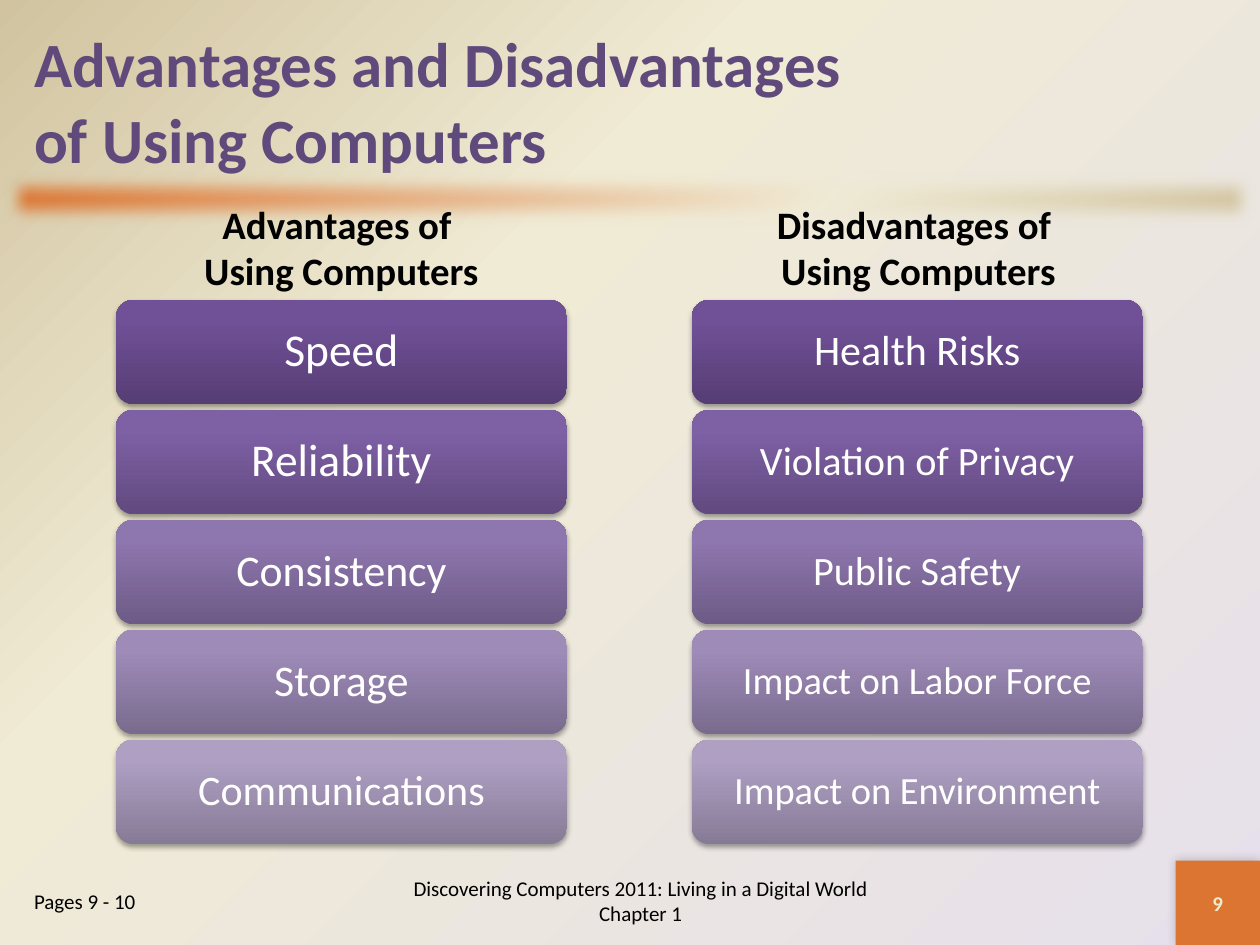
from lxml import etree
from pptx import Presentation
from pptx import util as u
from pptx.dml.color import RGBColor
from pptx.enum import shapes, text
from pptx.oxml import parse_xml
from pptx.oxml.ns import nsdecls, qn

FONT = "Calibri"
BLACK, WHITE, PURPLE, ORANGE, CREAM = "000000", "FFFFFF", "604A7B", "DB7531", "EEEBCA"
LEFT, CENTER = text.PP_ALIGN.LEFT, text.PP_ALIGN.CENTER
MIDDLE = text.MSO_ANCHOR.MIDDLE

# Gradient stops of the five rows, bottom to top of each box
ROW_COLORS = [
    ("563D74", "705097", "704F99"),
    ("614A7F", "7E60A5", "7F60A7"),
    ("6D5B86", "8E76AE", "8E75B0"),
    ("796B8E", "9E8BB8", "9E8BBA"),
    ("867B96", "AE9FC3", "AE9FC4"),
]
# Left, heading, and the label and text size of each row
COLUMNS = [
    (0.92, 0.5, "Advantages of \vUsing Computers",
     [("Speed", 26), ("Reliability", 26), ("Consistency", 25),
      ("Storage", 25), ("Communications", 24)]),
    (5.49, 5.08, "Disadvantages of \vUsing Computers",
     [("Health Risks", 24), ("Violation of Privacy", 23), ("Public Safety", 23),
      ("Impact on Labor Force", 22), ("Impact on Environment", 22)]),
]
FIRST_TOP, LAST_TOP = 2.38, 5.87


def color(value):
    return RGBColor.from_string(value)


def inches(*lengths):
    return [u.Inches(length) for length in lengths]


def gradient(stops, direction):
    """Return a gradient fill; direction is its a:lin or a:path element."""
    marks = "".join(
        f'<a:gs pos="{place * 1000}"><a:srgbClr val="{value}"/></a:gs>'
        for place, value in stops)
    return parse_xml(f'<a:gradFill {nsdecls("a")} rotWithShape="1">'
                     f"<a:gsLst>{marks}</a:gsLst>{direction}</a:gradFill>")


def linear(angle):
    return f'<a:lin ang="{angle * 60000}" scaled="0"/>'


def add_effect(shape, name, **values):
    effects = shape._element.spPr.find(qn("a:effectLst"))
    return etree.SubElement(effects, qn(f"a:{name}"),
                            {key: str(value) for key, value in values.items()})


def add_shadow(shape, opacity, blur, distance, angle):
    shadow = add_effect(shape, "outerShdw", blurRad=u.Pt(blur), dist=u.Pt(distance),
                        dir=angle * 60000, rotWithShape=0)
    tint = etree.SubElement(shadow, qn("a:srgbClr"), val=BLACK)
    etree.SubElement(tint, qn("a:alpha"), val=str(opacity * 1000))


def add_block(page, preset, place):
    shape = page.shapes.add_shape(preset, *inches(*place))
    shape.shadow.inherit = False
    shape.line.fill.background()
    return shape


def fill_gradient(shape, stops, angle):
    line = shape._element.spPr.find(qn("a:ln"))
    line.addprevious(gradient(stops, linear(angle)))


def write(shape, words, size, tone, bold=False, align=CENTER, anchor=MIDDLE):
    frame = shape.text_frame
    frame.word_wrap = True
    frame.auto_size = text.MSO_AUTO_SIZE.NONE
    frame.vertical_anchor = anchor
    frame.text = words
    para = frame.paragraphs[0]
    para.alignment = align
    para.space_before = u.Pt(0)
    etree.SubElement(para._p.get_or_add_pPr(), qn("a:buNone"))
    font = para.font
    font.name, font.size, font.bold = FONT, u.Pt(size), bold
    font.color.rgb = color(tone)
    return para


def move(shape, *place):
    shape.left, shape.top, shape.width, shape.height = inches(*place)


def paint_background(page):
    page.background.fill.solid()
    plain = page._element.cSld.find(".//" + qn("a:solidFill"))
    corner = ('<a:path path="circle">'
              '<a:fillToRect l="100000" t="100000"/></a:path>')
    stops = [(0, "E6E0EC"), (65, "F0EBD5"), (100, "D1C39F")]
    plain.getparent().replace(plain, gradient(stops, corner))


def add_rule(page):
    rule = add_block(page, shapes.MSO_SHAPE.RECTANGLE, (0, 1.33, 10, 0.5))
    fill_gradient(rule, [(0, ORANGE), (65, "F0EBD5"), (100, "D1C39F")], 45)
    add_effect(rule, "softEdge", rad=u.Pt(10))


def add_page_number(page):
    square = add_block(page, shapes.MSO_SHAPE.RECTANGLE, (9.33, 6.83, 0.67, 0.67))
    square.fill.solid()
    square.fill.fore_color.rgb = color(ORANGE)
    add_shadow(square, 20, 6, 0, 225)
    write(square, "9", 12, CREAM, bold=True)


def add_column(page, left, rows):
    pitch = (LAST_TOP - FIRST_TOP) / (len(rows) - 1)
    for index, ((label, size), tones) in enumerate(zip(rows, ROW_COLORS)):
        place = (left, FIRST_TOP + index * pitch, 3.58, 0.83)
        box = add_block(page, shapes.MSO_SHAPE.ROUNDED_RECTANGLE, place)
        fill_gradient(box, list(zip((0, 80, 100), tones)), 270)
        add_shadow(box, 35, 3.1, 1.8, 90)
        write(box, label, size, WHITE).line_spacing = 0.9


def main():
    deck = Presentation()
    deck.slide_width, deck.slide_height = inches(10, 7.5)
    page = deck.slides.add_slide(deck.slide_layouts.get_by_name("Comparison"))
    holders = {holder.placeholder_format.idx: holder for holder in page.placeholders}
    title, left_head, pages, right_head, spare = [holders[i] for i in range(5)]
    spare._element.getparent().remove(spare._element)

    # Backdrop
    paint_background(page)
    add_rule(page)
    add_page_number(page)

    # Title
    move(title, 0.17, 0.17, 9.67, 1.25)
    write(title, "Advantages and Disadvantages \vof Using Computers", 36, PURPLE,
          bold=True, align=LEFT)

    # Two headed columns
    for head, (left, head_left, heading, rows) in zip((left_head, right_head), COLUMNS):
        move(head, head_left, 1.68, 4.42, 0.7)
        write(head, heading, 22.2, BLACK, bold=True, anchor=text.MSO_ANCHOR.BOTTOM)
        add_column(page, left, rows)

    # Footer
    move(pages, 0.17, 7, 1.83, 0.33)
    para = write(pages, "Pages 9 - 10", 12, BLACK, align=LEFT,
                 anchor=text.MSO_ANCHOR.TOP)
    para._p.pPr.set("marL", "0")
    para._p.pPr.set("indent", "0")
    footer = page.shapes.add_textbox(*inches(3, 6.95, 4.17, 0.4))
    write(footer, "Discovering Computers 2011: Living in a Digital World Chapter 1",
          12, BLACK)

    # The rule lies behind the title and headings
    tree = page.shapes._spTree
    for holder in (title, left_head, right_head, pages):
        tree.append(holder._element)

    deck.save("out.pptx")


if __name__ == "__main__":
    main()
